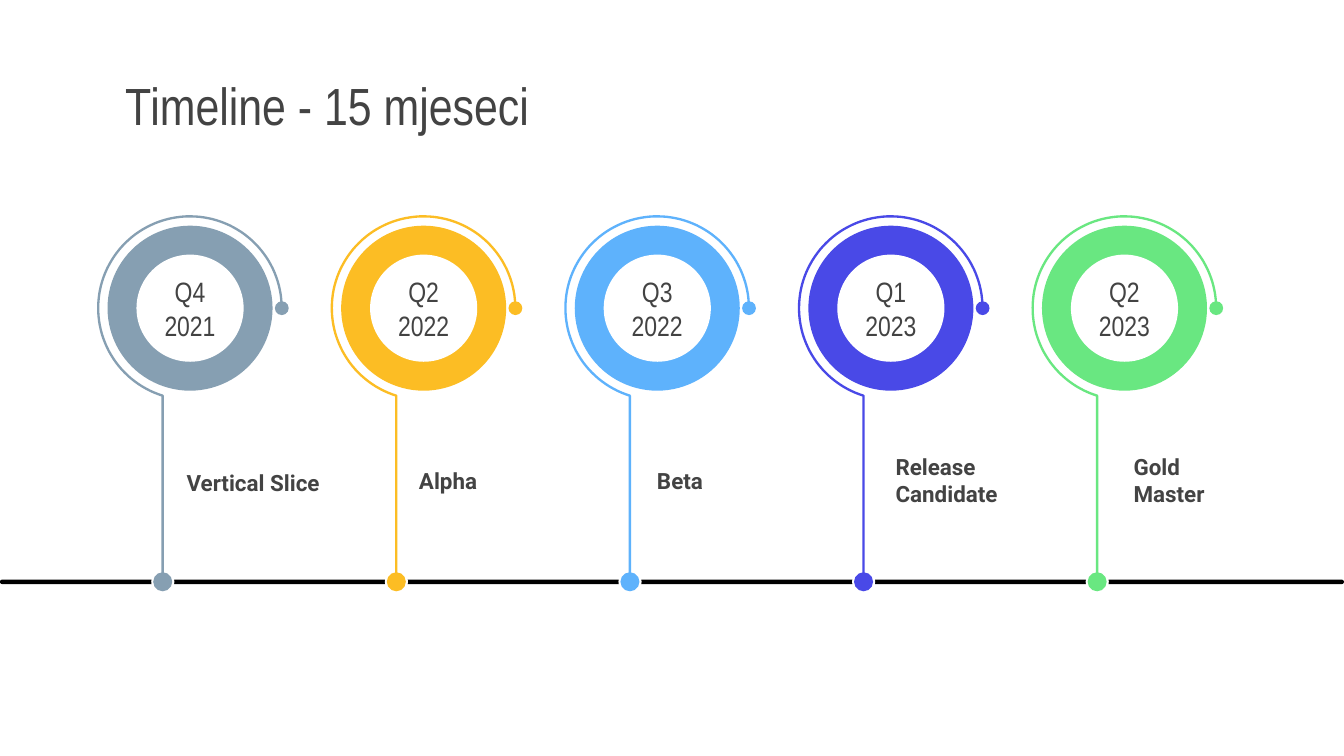
from dataclasses import dataclass
from math import acos, cos, pi, sin

from pptx import Presentation
from pptx.dml.color import RGBColor
from pptx.enum.shapes import MSO_SHAPE as Preset
from pptx.enum.text import MSO_ANCHOR as Anchor, MSO_AUTO_SIZE as AutoSize, PP_ALIGN as Align
from pptx.util import Pt


@dataclass(frozen=True)
class Theme:
    ink: str = "434343"
    paper: str = "FFFFFF"
    axis: str = "000000"
    display_font: str = "Arial Narrow"
    label_font: str = "Roboto"
    title_size: int = 28
    quarter_size: int = 15
    label_size: int = 12
    stem_width: float = 1.25


@dataclass(frozen=True)
class Milestone:
    color: str
    quarter: tuple
    label: tuple
    label_left: float
    label_top: float = 229.7


THEME = Theme()
MILESTONES = [
    Milestone("869FB2", ("Q4 2021",), ("Vertical Slice",), 92.9, 230.6),
    Milestone("FCBD24", ("Q2 2022",), ("Alpha",), 217.4),
    Milestone("5EB2FC", ("Q3 2022",), ("Beta",), 344.9),
    Milestone("4949E7", ("Q1", "2023"), ("Release Candidate",), 472.7),
    Milestone("69E781", ("Q2 2023",), ("Gold", "Master"), 600.2),
]
FIRST_CENTER, PITCH = 101.8, 125.15
RING_Y, AXIS_Y = 165.1, 311.7
ARC_RADIUS, DISC_RADIUS, HOLE_RADIUS = 49.15, 44.2, 28.7
STEM_OFFSET = -14.6
HALO = 1.1
ARC_STEPS = 90


def paint(shape, color):
    shape.shadow.inherit = False
    shape.fill.solid()
    shape.fill.fore_color.rgb = RGBColor.from_string(color)
    shape.line.fill.background()


def write(frame, lines, font, size, align, bold=False, inset=7.2):
    frame.word_wrap = True
    frame.auto_size = AutoSize.NONE
    frame.vertical_anchor = Anchor.MIDDLE
    frame.margin_left = frame.margin_right = Pt(inset)
    frame.margin_top = frame.margin_bottom = Pt(inset)
    for index, line in enumerate(lines):
        paragraph = frame.paragraphs[0] if index == 0 else frame.add_paragraph()
        paragraph.alignment = align
        run = paragraph.add_run()
        run.text = line
        run.font.name = font
        run.font.size = Pt(size)
        run.font.bold = bold
        run.font.color.rgb = RGBColor.from_string(THEME.ink)


def add_title(slide, text):
    title = slide.shapes.title
    title.left, title.top, title.width, title.height = Pt(59.9), Pt(36.8), Pt(608.4), Pt(38.2)
    write(title.text_frame, [text], THEME.display_font, THEME.title_size, Align.LEFT)


def add_axis(slide):
    thickness = 2.4
    axis = slide.shapes.add_shape(
        Preset.ROUNDED_RECTANGLE, 0, Pt(AXIS_Y - thickness / 2), Pt(720), Pt(thickness))
    axis.adjustments[0] = 0.5
    paint(axis, THEME.axis)


def add_circle(slide, x, y, radius, color):
    circle = slide.shapes.add_shape(
        Preset.OVAL, Pt(x - radius), Pt(y - radius), Pt(2 * radius), Pt(2 * radius))
    paint(circle, color)
    return circle


def add_dot(slide, x, y, radius, color):
    add_circle(slide, x, y, radius + HALO, THEME.paper)
    add_circle(slide, x, y, radius, color)


def add_arc_with_stem(slide, center, color):
    sweep = 2 * pi - acos(STEM_OFFSET / ARC_RADIUS)
    angles = [sweep * step / ARC_STEPS for step in range(ARC_STEPS + 1)]
    points = [(Pt(center + ARC_RADIUS * cos(a)), Pt(RING_Y - ARC_RADIUS * sin(a))) for a in angles]
    points.append((Pt(center + STEM_OFFSET), Pt(AXIS_Y)))
    builder = slide.shapes.build_freeform(*points[0])
    builder.add_line_segments(points[1:], close=False)
    outline = builder.convert_to_shape()
    outline.shadow.inherit = False
    outline.fill.background()
    outline.line.color.rgb = RGBColor.from_string(color)
    outline.line.width = Pt(THEME.stem_width)


def add_label(slide, milestone):
    label = slide.shapes.add_textbox(
        Pt(milestone.label_left), Pt(milestone.label_top), Pt(97.9), Pt(55.4))
    write(label.text_frame, milestone.label, THEME.label_font, THEME.label_size, Align.LEFT, bold=True)


def add_milestone(slide, milestone, center):
    add_dot(slide, center + ARC_RADIUS, RING_Y, 3.7, milestone.color)
    add_dot(slide, center + STEM_OFFSET, AXIS_Y, 5.1, milestone.color)
    add_arc_with_stem(slide, center, milestone.color)
    add_circle(slide, center, RING_Y, DISC_RADIUS, milestone.color)
    hole = add_circle(slide, center, RING_Y, HOLE_RADIUS, THEME.paper)
    write(hole.text_frame, milestone.quarter, THEME.display_font, THEME.quarter_size,
          Align.CENTER, inset=0)
    add_label(slide, milestone)


def main():
    deck = Presentation()
    deck.slide_width, deck.slide_height = Pt(720), Pt(405)
    slide = deck.slides.add_slide(deck.slide_layouts[5])
    add_title(slide, "Timeline - 15 mjeseci")
    add_axis(slide)
    for index, milestone in enumerate(MILESTONES):
        add_milestone(slide, milestone, FIRST_CENTER + index * PITCH)
    deck.save("out.pptx")


if __name__ == "__main__":
    main()
